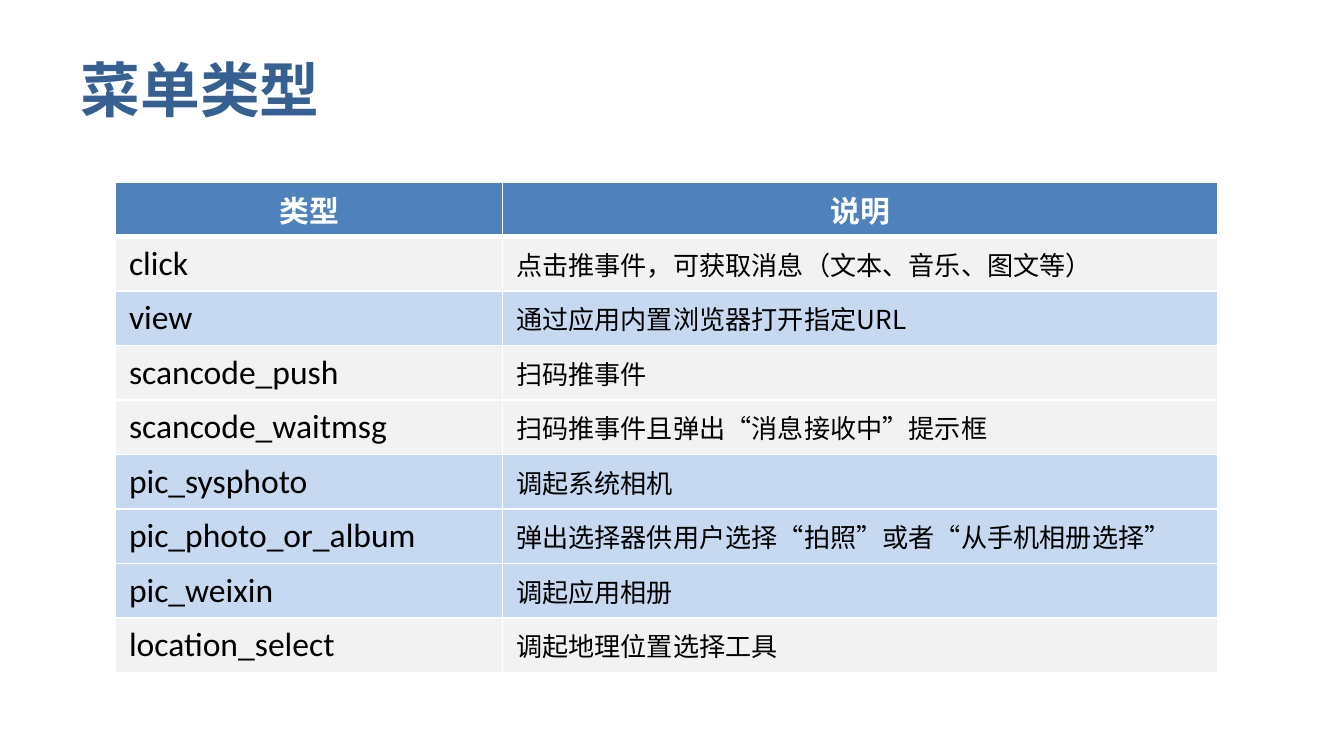
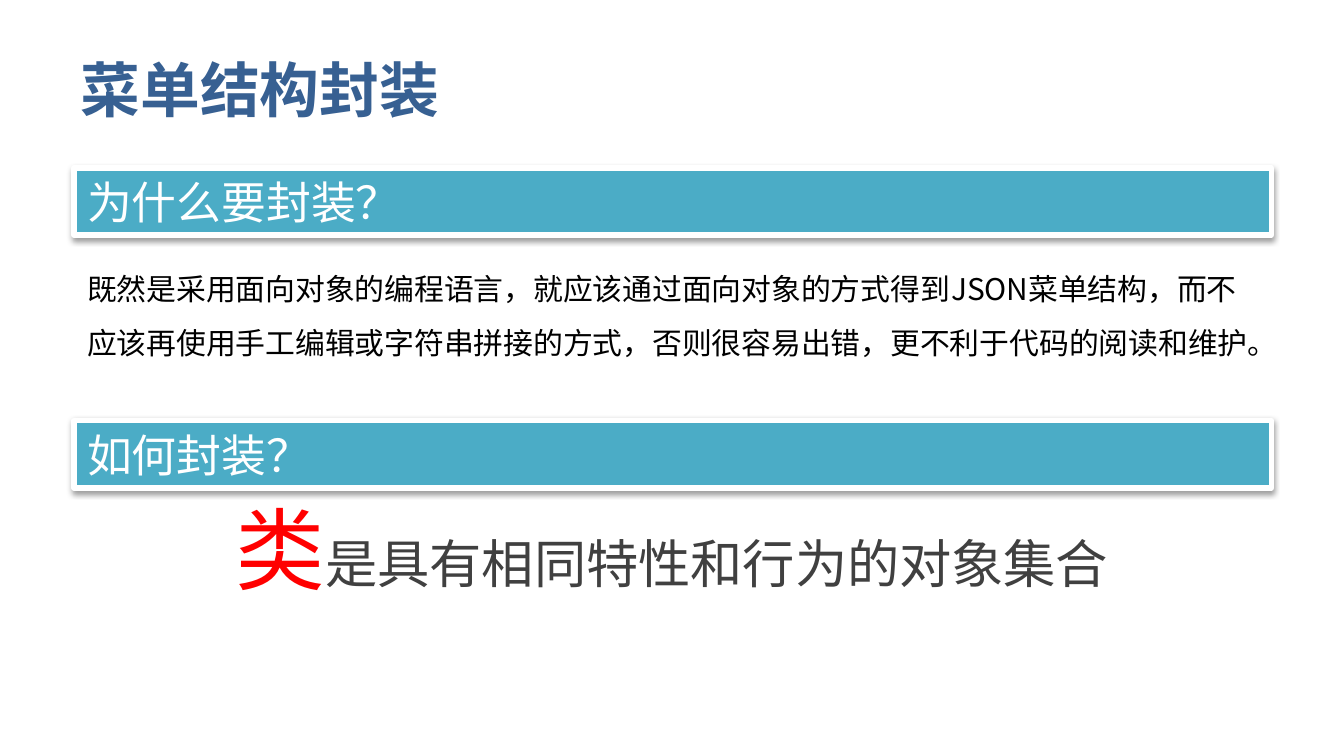
"""Build two slides on menu types and menu structure."""
import lxml.etree
import pptx
import pptx.dml.color
import pptx.enum.shapes
import pptx.enum.text
import pptx.oxml.ns
import pptx.util

Pt = pptx.util.Pt
qn = pptx.oxml.ns.qn
Align = pptx.enum.text.PP_ALIGN
Anchor = pptx.enum.text.MSO_ANCHOR
SANS = "Noto Sans CJK SC"
WHITE, BLACK = "FFFFFF", "000000"
NAVY, BLUE, TEAL = "376092", "4F81BD", "4BACC6"
RED, GREY = "FF0000", "404040"
PALE, SKY = "F2F2F2", "C6D9F1"

KINDS = [
    ("click", "点击推事件，可获取消息（文本、音乐、图文等）", PALE),
    ("view", "通过应用内置浏览器打开指定URL", SKY),
    ("scancode_push", "扫码推事件", PALE),
    ("scancode_waitmsg", "扫码推事件且弹出“消息接收中”提示框", PALE),
    ("pic_sysphoto", "调起系统相机", SKY),
    ("pic_photo_or_album", "弹出选择器供用户选择“拍照”或者“从手机相册选择”", SKY),
    ("pic_weixin", "调起应用相册", SKY),
    ("location_select", "调起地理位置选择工具", PALE),
]
REASON = (
    "既然是采用面向对象的编程语言，就应该通过面向对象的方式得到JSON菜单结构，"
    "而不应该再使用手工编辑或字符串拼接的方式，否则很容易出错，更不利于代码的阅读和维护。"
)


def tint(code):
    return pptx.dml.color.RGBColor.from_string(code)


def node(top, tag, **attrs):
    return lxml.etree.SubElement(top, qn(tag), {k: str(v) for k, v in attrs.items()})


def write(para, text, size=16, color=BLACK, face=SANS, bold=False, align=Align.LEFT):
    para.alignment = align
    run = para.add_run()
    run.text = text
    font = run.font
    font.size, font.bold = Pt(size), bold
    font.color.rgb = tint(color)
    font.name = face
    node(run._r.get_or_add_rPr(), "a:ea", typeface=face)


class Deck:
    def __init__(self):
        self.prs = pptx.Presentation()
        self.prs.slide_width = pptx.util.Inches(10)
        self.prs.slide_height = pptx.util.Inches(5.625)
        self.slide = None

    def wide(self, share):
        return int(self.prs.slide_width * share / 100)

    def high(self, share):
        return int(self.prs.slide_height * share / 100)

    def area(self, x, y, w, h):
        return self.wide(x), self.high(y), self.wide(w), self.high(h)

    def frame(self, shape, anchor):
        body = shape.text_frame
        body.word_wrap = True
        body.auto_size = pptx.enum.text.MSO_AUTO_SIZE.NONE
        body.vertical_anchor = anchor
        return body.paragraphs[0]

    def page(self, text):
        self.slide = self.prs.slides.add_slide(self.prs.slide_layouts[5])
        head = self.slide.shapes.title
        head.left, head.top, head.width, head.height = self.area(5, 5.33, 90, 12.8)
        write(self.frame(head, Anchor.MIDDLE), text, size=32, color=NAVY, bold=True)

    def text(self, box, anchor=Anchor.TOP):
        return self.frame(self.slide.shapes.add_textbox(*self.area(*box)), anchor)

    def band(self, text, y):
        kind = pptx.enum.shapes.MSO_SHAPE.RECTANGLE
        bar = self.slide.shapes.add_shape(kind, *self.area(5.5, y, 89.1, 8.9))
        bar.fill.solid()
        bar.fill.fore_color.rgb = tint(TEAL)
        bar.line.color.rgb = tint(WHITE)
        bar.line.width = Pt(3)
        bar.shadow.inherit = False
        glow = node(bar._element.spPr.find(qn("a:effectLst")), "a:outerShdw",
                    blurRad=Pt(3.1), dist=Pt(1.6), dir=5400000, rotWithShape=0)
        node(node(glow, "a:srgbClr", val=BLACK), "a:alpha", val=38000)
        write(self.frame(bar, Anchor.MIDDLE), text, size=24, color=WHITE)

    def cell(self, cell, text, fill, top=1, base=1, **style):
        edges = cell._tc.get_or_add_tcPr()
        for side, size in zip("LRTB", (1, 1, top, base)):
            line = node(edges, f"a:ln{side}", w=Pt(size))
            node(node(line, "a:solidFill"), "a:srgbClr", val=WHITE)
        cell.fill.solid()
        cell.fill.fore_color.rgb = tint(fill)
        cell.vertical_anchor = Anchor.MIDDLE
        cell.margin_top = cell.margin_bottom = Pt(2)
        write(cell.text_frame.paragraphs[0], text, **style)

    def table(self, heads, rows, box, cols):
        count = len(rows) + 1
        grid = self.slide.shapes.add_table(count, len(cols), *self.area(*box)).table
        for col, share in zip(grid.columns, cols):
            col.width = self.wide(share)
        for row in grid.rows:
            row.height = self.high(box[3] / count)
        for c, text in enumerate(heads):
            self.cell(grid.cell(0, c), text, BLUE, base=3,
                      color=WHITE, bold=True, align=Align.CENTER)
        for r, (name, note, fill) in enumerate(rows, 1):
            top = 3 if r == 1 else 1
            self.cell(grid.cell(r, 0), name, fill, top, size=18, face="Calibri")
            self.cell(grid.cell(r, 1), note, fill, top, size=14)


def main():
    deck = Deck()
    deck.page("菜单类型")
    deck.table(("类型", "说明"), KINDS, (8.6, 24.1, 82, 64.9), (28.8, 53.2))

    deck.page("菜单结构封装")
    claim = deck.text((0, 64.35, 100, 16.2), Anchor.MIDDLE)
    write(claim, "类", size=48, color=RED, align=Align.CENTER)
    write(claim, "是具有相同特性和行为的对象集合", size=28, color=GREY, align=Align.CENTER)
    deck.band("为什么要封装？", 22.2)
    why = deck.text((5.5, 32.5, 89.1, 16.2))
    why.line_spacing = Pt(29)
    write(why, REASON)
    deck.band("如何封装？", 55.65)
    deck.prs.save("out.pptx")


if __name__ == "__main__":
    main()
